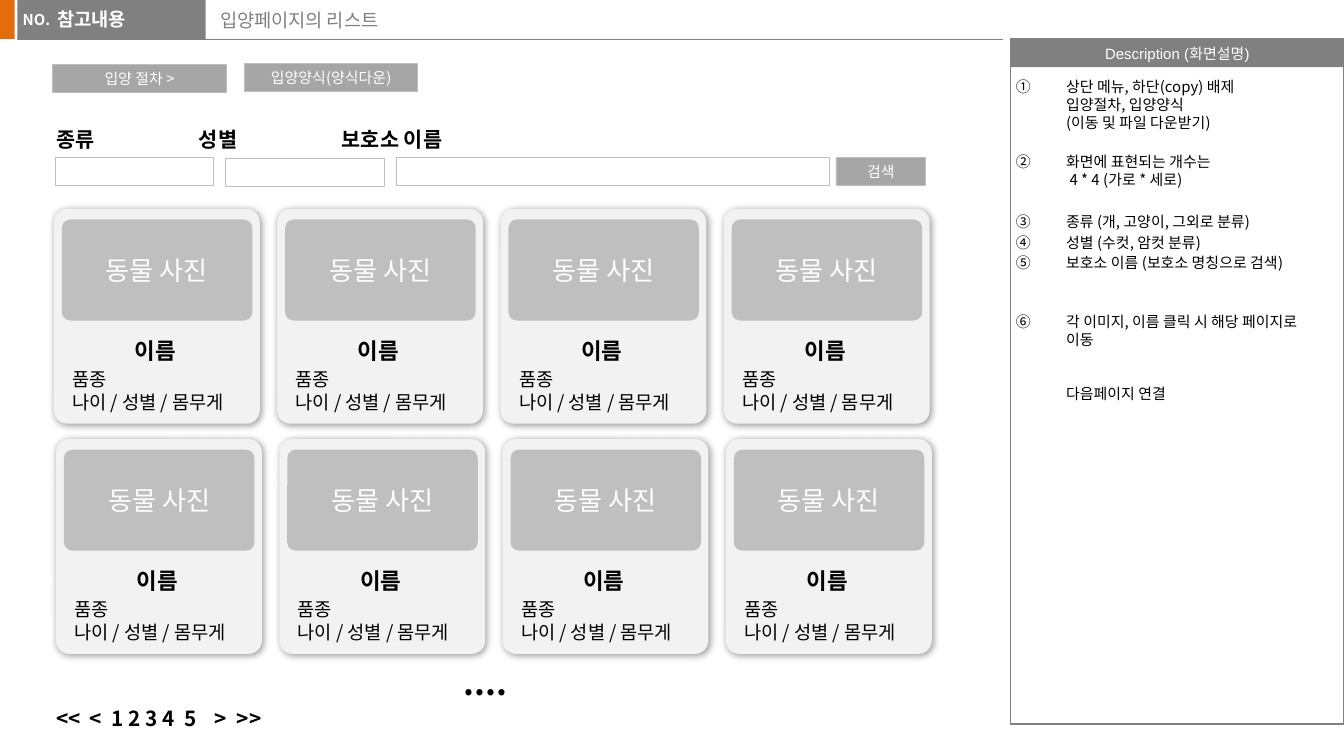
from lxml.etree import SubElement
from pptx import Presentation
from pptx.dml.color import RGBColor
from pptx.enum.shapes import MSO_CONNECTOR, MSO_SHAPE
from pptx.enum.text import MSO_ANCHOR, PP_ALIGN
from pptx.oxml import parse_xml
from pptx.oxml.ns import nsdecls, qn
from pptx.util import Cm, Pt

COLORS = {
    "accent": "E46C0A", "bar": "808080", "button": "A6A6A6", "border": "BFBFBF",
    "card": "F2F2F2", "white": "FFFFFF", "black": "000000",
}
NOTO = "Noto Sans CJK KR"
RECT, ROUNDED = MSO_SHAPE.RECTANGLE, MSO_SHAPE.ROUNDED_RECTANGLE
LEFT, CENTER = PP_ALIGN.LEFT, PP_ALIGN.CENTER


def add_panel(shapes, kind, bounds, fill=None, line=None, weight=0.5):
    panel = shapes.add_shape(kind, *map(Cm, bounds))
    panel.shadow.inherit = False
    if fill:
        panel.fill.solid()
        panel.fill.fore_color.rgb = RGBColor.from_string(COLORS[fill])
    else:
        panel.fill.background()
    if line:
        panel.line.color.rgb = RGBColor.from_string(COLORS[line])
        panel.line.width = Pt(weight)
    else:
        panel.line.fill.background()
    return panel


def write(frame, paragraphs, size, color, bold=False, align=LEFT, font=NOTO, wrap=True):
    frame.word_wrap = wrap
    for index, text in enumerate(paragraphs):
        paragraph = frame.add_paragraph() if index else frame.paragraphs[0]
        paragraph.alignment = align
        for number, part in enumerate(text.split("\n")):
            if number:
                paragraph.add_line_break()
            run = paragraph.add_run()
            run.text = part
            run.font.size = Pt(size)
            run.font.bold = bold
            run.font.name = font
            run.font.color.rgb = RGBColor.from_string(COLORS[color])
    return frame


prs = Presentation()
prs.slide_width, prs.slide_height = Cm(25.4), Cm(14.29)
slide = prs.slides.add_slide(prs.slide_layouts[6])
shapes = slide.shapes

add_panel(shapes, RECT, (-0.03, 0, 0.31, 0.74), "accent")
header_rule = shapes.add_connector(MSO_CONNECTOR.STRAIGHT, Cm(0.33), Cm(0.74), Cm(18.95), Cm(0.74))
header_rule.line.color.rgb = RGBColor.from_string(COLORS["bar"])
header_rule.line.width = Pt(0.5)
SubElement(header_rule._element.spPr, qn("a:effectLst"))
add_panel(shapes, RECT, (0.33, 0, 3.56, 0.74), "bar")

number_label = shapes.add_textbox(Cm(0.18), Cm(0.08), Cm(1.04), Cm(0.61)).text_frame
write(number_label, ["NO."], 8, "white", bold=True, wrap=False)
page_title = shapes.add_textbox(Cm(3.91), Cm(0.05), Cm(15.01), Cm(0.81)).text_frame
write(page_title, ["입양페이지의 리스트"], 10, "bar")
section = shapes.add_textbox(Cm(1.09), Cm(0.03), Cm(2.21), Cm(0.79)).text_frame
section.margin_left = section.margin_right = 0
write(section, ["참고내용"], 10, "white", bold=True, font="Arial")

description_head = add_panel(shapes, RECT, (19.1, 0.74, 6.3, 0.53), "bar").text_frame
description_head.vertical_anchor = MSO_ANCHOR.MIDDLE
write(description_head, ["Description (화면설명)"], 8, "white", align=CENTER, font="Arial", wrap=False)
add_panel(shapes, RECT, (19.1, 0.74, 6.3, 12.95), line="bar", weight=0.75)

notes = [
    ("상단 메뉴, 하단(copy) 배제\n입양절차, 입양양식\n(이동 및 파일 다운받기)", 0),
    ("화면에 표현되는 개수는\n 4 * 4 (가로 * 세로)", 11.25),
    ("종류 (개, 고양이, 그외로 분류)", 12.8),
    ("성별 (수컷, 암컷 분류)", 1.6),
    ("보호소 이름 (보호소 명칭으로 검색)", 1.6),
    ("각 이미지, 이름 클릭 시 해당 페이지로\n이동", 22),
    ("다음페이지 연결", 19.3),
]
description = shapes.add_textbox(Cm(19.1), Cm(1.35), Cm(6.3), Cm(12.4)).text_frame
description.margin_left, description.margin_right = Cm(0.1), 0
write(description, [text for text, gap in notes], 8, "black")
for paragraph, (text, gap) in zip(description.paragraphs, notes):
    paragraph.space_before = Pt(gap)
    properties = paragraph._p.get_or_add_pPr()
    properties.set("marL", str(Cm(0.95)))
    if text == notes[-1][0]:
        properties.set("indent", "0")
    else:
        properties.set("indent", str(-Cm(0.95)))
        SubElement(properties, qn("a:buAutoNum"), type="circleNumDbPlain")

tabbed_lines = [
    (2.36, "종류\t성별\t보호소 이름", (2.7, 5.4)),
    (13.31, "<<\t<\t1 2 3 4\t5\t>\t>>", (0.64, 1.04, 2.42, 3, 3.42)),
]
for top, text, stops in tabbed_lines:
    tabbed = shapes.add_textbox(Cm(0.71), Cm(top), Cm(14.5), Cm(0.64)).text_frame
    tabbed.margin_left = Cm(0.35)
    write(tabbed, [text], 11.1, "black", bold=True)
    tabbed.paragraphs[0].line_spacing = 0.8
    tab_list = SubElement(tabbed.paragraphs[0]._p.get_or_add_pPr(), qn("a:tabLst"))
    for stop in stops:
        SubElement(tab_list, qn("a:tab"), pos=str(Cm(stop)), algn="l")

for left, top, width in [(1.04, 2.97, 3), (4.27, 3, 3), (7.49, 2.97, 8.18)]:
    add_panel(shapes, RECT, (left, top, width, 0.53), "white", "border")

buttons = [
    ("검색", 15.8, 2.97, 1.7),
    ("입양 절차 >", 1, 1.22, 3.28),
    ("입양양식(양식다운)", 4.62, 1.21, 3.28),
]
for text, left, top, width in buttons:
    button = add_panel(shapes, RECT, (left, top, width, 0.53), "button", "border").text_frame
    button.vertical_anchor = MSO_ANCHOR.MIDDLE
    write(button, [text], 8, "white", align=CENTER)

for row in range(2):
    for column in range(4):
        left, top = 1.02 + 4.22 * column + 0.04 * row, 3.95 + 4.35 * row
        card = shapes.add_group_shape().shapes
        base = add_panel(card, ROUNDED, (left, top, 3.89, 4.06), "card")
        base.adjustments[0] = 0.064
        base._element.spPr.remove(base._element.spPr.find(qn("a:effectLst")))
        base._element.spPr.append(parse_xml(
            f'<a:effectLst {nsdecls("a")}><a:outerShdw blurRad="{Pt(4)}" dist="{Pt(1)}" '
            f'dir="2700000" algn="tl" rotWithShape="0"><a:srgbClr val="{COLORS["black"]}">'
            '<a:alpha val="40000"/></a:srgbClr></a:outerShdw></a:effectLst>'))
        photo = add_panel(card, ROUNDED, (left + 0.15, top + 0.2, 3.6, 1.91), "border")
        photo.adjustments[0] = 0.083
        photo.text_frame.vertical_anchor = MSO_ANCHOR.MIDDLE
        write(photo.text_frame, ["동물 사진"], 14, "white", align=CENTER)
        name = card.add_textbox(Cm(left + 0.1), Cm(top + 2.29), Cm(3.63), Cm(0.76)).text_frame
        write(name, ["이름"], 12, "black", bold=True, align=CENTER)
        details = card.add_textbox(Cm(left + 0.1), Cm(top + 2.88), Cm(3.89), Cm(1.55)).text_frame
        write(details, ["품종", "나이 / 성별 / 몸무게"], 10, "black")

more = shapes.add_textbox(Cm(1.93), Cm(12.47), Cm(14.5), Cm(0.64)).text_frame
write(more, ["...."], 18, "black", bold=True, align=CENTER)
more.paragraphs[0].line_spacing = 0.9

prs.save("out.pptx")
